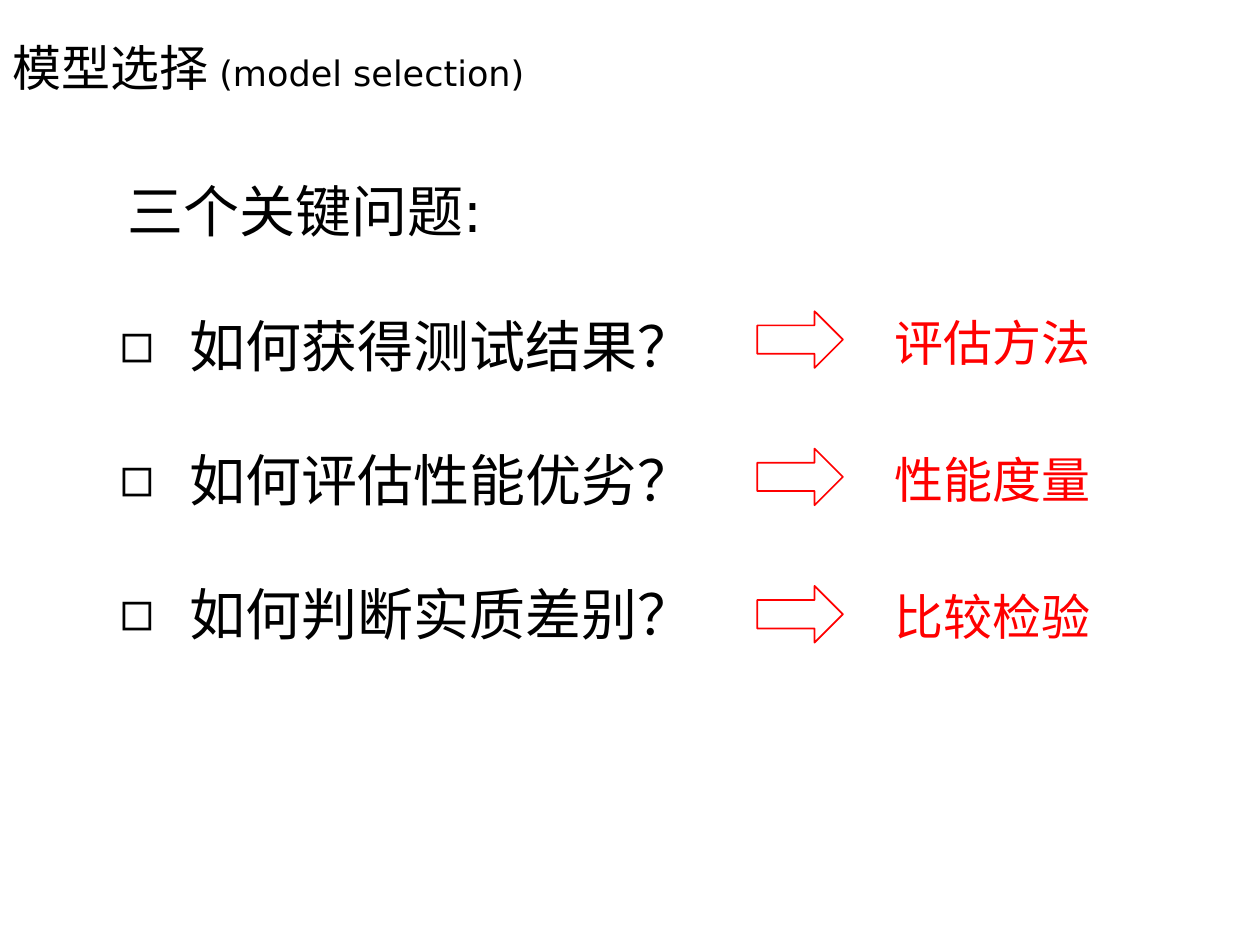
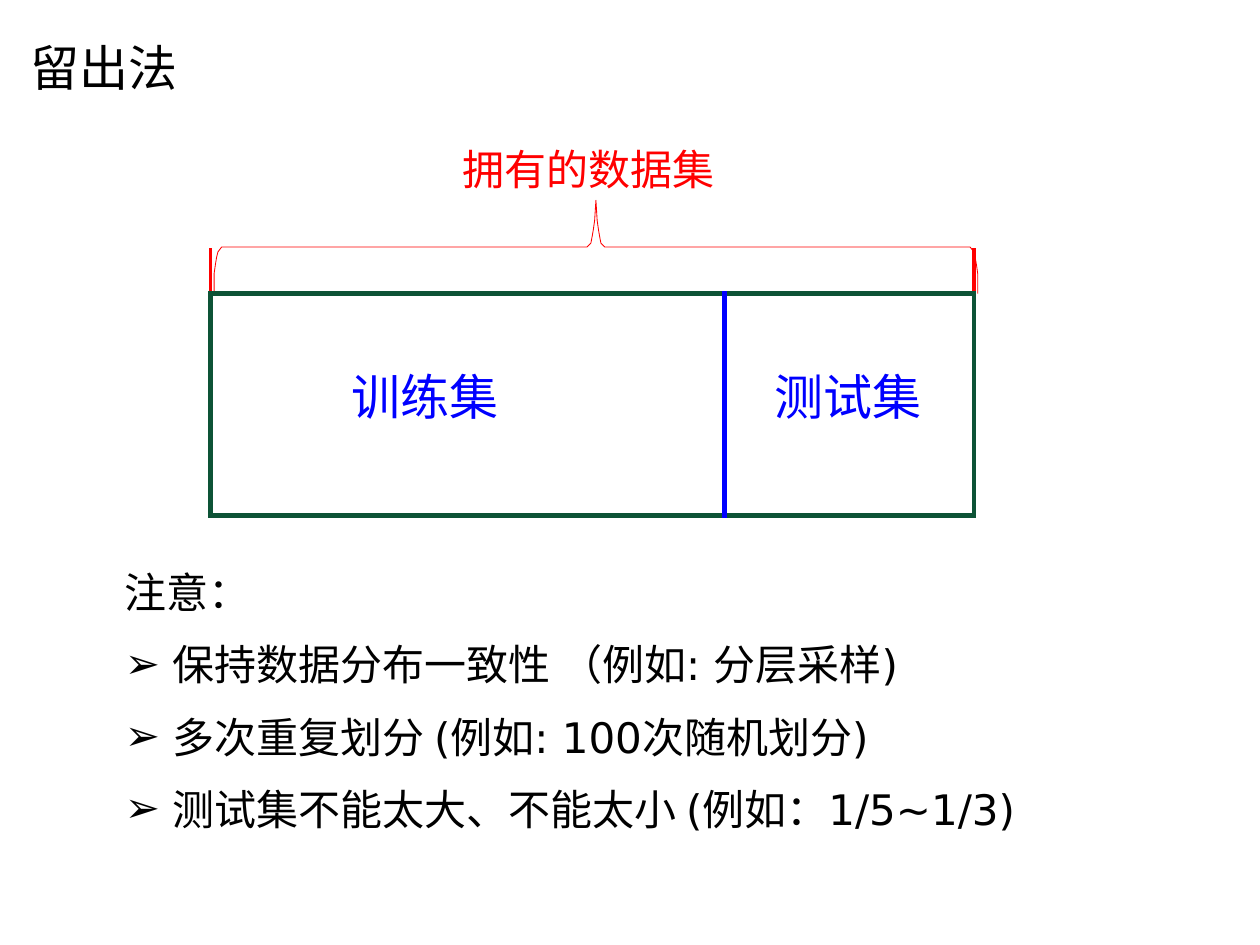
from dataclasses import dataclass
from itertools import cycle

from lxml import etree
from pptx import Presentation
from pptx.dml.color import RGBColor
from pptx.enum.shapes import MSO_SHAPE
from pptx.enum.text import MSO_ANCHOR, MSO_AUTO_SIZE, PP_ALIGN
from pptx.oxml.ns import qn
from pptx.util import Emu, Pt

RIGHT_ARROW = MSO_SHAPE.RIGHT_ARROW
TOP, MIDDLE = MSO_ANCHOR.TOP, MSO_ANCHOR.MIDDLE
NO_AUTOFIT = MSO_AUTO_SIZE.NONE
LEFT = PP_ALIGN.LEFT
PX = 9144


@dataclass(frozen=True)
class Theme:
    black: str = "000000"
    red: str = "FF0000"
    blue: str = "0000FF"
    green: str = "0D5336"
    chinese: str = "Noto Sans CJK SC"
    latin: str = "DejaVu Sans"
    question: int = 32
    heading: int = 28
    note: int = 24
    small: int = 20
    leading: float = 1.22
    heading_leading: int = 26


THEME = Theme()

# Runs alternate between Chinese and Latin type.
SELECTION_HEADING = ["模型选择 ", "(model selection)"]
KEY_QUESTIONS = ["三个关键问题", ":"]
QUESTIONS = [
    ("如何获得测试结果？", "评估方法"),
    ("如何评估性能优劣？", "性能度量"),
    ("如何判断实质差别？", "比较检验"),
]
HOLDOUT_HEADING = ["留出法"]
DATASET_LABEL = ["拥有的数据集"]
SUBSETS = [("训练集", 408, 112), ("测试集", 198, 40)]
NOTE_LEAD = ["注意："]
NOTES = [
    ["保持数据分布一致性 （例如", ": ", "分层采样", ")"],
    ["多次重复划分 ", "(", "例如", ": 100", "次随机划分", ")"],
    ["测试集不能太大、不能太小 ", "(", "例如：", "1/5~1/3)"],
]
BRACE_CENTRE = 473
BRACE_HALF = [
    (303, 233), (303, 224), (303, 217), (302, 210), (301, 204), (300, 200),
    (297, 196), (7, 196), (4, 193), (3, 188), (2, 182), (1, 175), (0, 159),
]


def px(value):
    return Emu(value * PX)


def colour(value):
    return RGBColor.from_string(value)


def add_runs(paragraph, texts, size, ink, latin_size=None):
    styles = cycle([(THEME.chinese, size), (THEME.latin, latin_size or size)])
    for text, (face, points) in zip(texts, styles):
        run = paragraph.add_run()
        run.text = text
        run.font.size = Pt(points)
        run.font.bold = False
        run.font.color.rgb = colour(ink)
        run.font.name = face
        etree.SubElement(run.font._element, qn("a:ea"), typeface=face)


def format_paragraph(paragraph, leading, before=0, bullet=None, margin=0, hanging=0):
    properties = paragraph._p.get_or_add_pPr()
    properties.set("marL", str(px(margin)))
    properties.set("indent", str(px(-hanging)))
    if bullet:
        etree.SubElement(properties, qn("a:buChar"), char=bullet)
    else:
        etree.SubElement(properties, qn("a:buNone"))
    paragraph.alignment = LEFT
    paragraph.line_spacing = Pt(leading)
    paragraph.space_before = Pt(before)


def place(shape, left, top, width, height):
    shape.left, shape.top = px(left), px(top)
    shape.width, shape.height = px(width), px(height)
    frame = shape.text_frame
    frame.word_wrap = True
    frame.auto_size = NO_AUTOFIT
    frame.vertical_anchor = TOP
    frame.margin_left = frame.margin_top = 0
    frame.margin_right = frame.margin_bottom = 0
    return frame


def add_label(slide, texts, box, size, ink):
    frame = place(slide.shapes.add_textbox(0, 0, 0, 0), *box)
    paragraph = frame.paragraphs[0]
    format_paragraph(paragraph, size * THEME.leading)
    add_runs(paragraph, texts, size, ink)


def add_headed_slide(presentation, texts, left, width):
    slide = presentation.slides.add_slide(presentation.slide_layouts[1])
    paragraph = place(slide.shapes.title, left, 40, width, 76).paragraphs[0]
    format_paragraph(paragraph, THEME.heading_leading)
    add_runs(paragraph, texts, THEME.heading, THEME.black, THEME.small)
    return slide


def fill_list(slide, box, items, size, gap, margin, hanging):
    frame = place(slide.placeholders[1], *box)
    for index, (texts, bullet) in enumerate(items):
        paragraph = frame.add_paragraph() if index else frame.paragraphs[0]
        indents = (margin, hanging) if bullet else (1, 0)
        format_paragraph(paragraph, size * THEME.leading, gap if index else 0, bullet, *indents)
        add_runs(paragraph, texts, size, THEME.black)


def outline(shape, ink, points):
    shape.shadow.inherit = False
    shape.fill.background()
    shape.line.color.rgb = colour(ink)
    shape.line.width = Pt(points)


def format_cell(cell, borders):
    properties = cell._tc.get_or_add_tcPr()
    for side in "LRTB":
        ink, points = borders.get(side, (None, 0))
        line = etree.SubElement(properties, qn(f"a:ln{side}"), w=str(Pt(points)))
        if ink:
            fill = etree.SubElement(line, qn("a:solidFill"))
            etree.SubElement(fill, qn("a:srgbClr"), val=ink)
        else:
            etree.SubElement(line, qn("a:noFill"))
    cell.fill.background()
    cell.margin_left = cell.margin_right = cell.margin_top = cell.margin_bottom = 0


def build_selection_slide(presentation):
    slide = add_headed_slide(presentation, SELECTION_HEADING, 10, 410)
    add_label(slide, KEY_QUESTIONS, (101, 139, 310, 56), THEME.question, THEME.black)
    items = [([question], "◻") for question, answer in QUESTIONS]
    fill_list(slide, (93, 246, 470, 270), items, THEME.question, 37.6, 57, 55)
    for row, (question, answer) in enumerate(QUESTIONS):
        top = 247 + 109 * row
        arrow = slide.shapes.add_shape(RIGHT_ARROW, px(601), px(top), px(68), px(45))
        outline(arrow, THEME.red, 0.96)
        add_label(slide, [answer], (710, top, 165, 49), THEME.heading, THEME.red)


def add_brace(slide):
    left = [(BRACE_CENTRE - offset, y) for offset, y in BRACE_HALF]
    right = [(BRACE_CENTRE + offset, y) for offset, y in reversed(BRACE_HALF[:-1])]
    start, *points = left + right
    builder = slide.shapes.build_freeform(*start, scale=PX)
    builder.add_line_segments(points, close=False)
    outline(builder.convert_to_shape(), THEME.red, 0.48)


def add_dataset_table(slide):
    table = slide.shapes.add_table(2, 2, px(167), px(197), px(606), px(212)).table
    table.first_row = table.horz_banding = False
    table.rows[0].height, table.rows[1].height = px(36), px(176)
    table.cell(0, 0).merge(table.cell(0, 1))
    red, green, blue = (THEME.red, 2.25), (THEME.green, 3), (THEME.blue, 3)
    sides = [{"L": green, "R": blue}, {"L": blue, "R": green}]
    for column, (name, width, indent) in enumerate(SUBSETS):
        table.columns[column].width = px(width)
        format_cell(table.cell(0, column), {"L": red, "R": red, "B": green})
        cell = table.cell(1, column)
        format_cell(cell, {**sides[column], "T": green, "B": green})
        cell.vertical_anchor = MIDDLE
        cell.margin_left, cell.margin_bottom = px(indent), px(8)
        paragraph = cell.text_frame.paragraphs[0]
        format_paragraph(paragraph, THEME.heading * THEME.leading)
        add_runs(paragraph, [name], THEME.heading, THEME.blue)


def build_holdout_slide(presentation):
    slide = add_headed_slide(presentation, HOLDOUT_HEADING, 24, 130)
    add_brace(slide)
    add_dataset_table(slide)
    add_label(slide, DATASET_LABEL, (367, 113, 206, 43), THEME.note, THEME.red)
    items = [(NOTE_LEAD, None)] + [(note, "➢") for note in NOTES]
    fill_list(slide, (98, 449, 710, 220), items, THEME.note, 12, 39, 38)


def main():
    presentation = Presentation()
    presentation.slide_width, presentation.slide_height = px(1000), px(750)
    build_selection_slide(presentation)
    build_holdout_slide(presentation)
    presentation.save("out.pptx")


if __name__ == "__main__":
    main()
